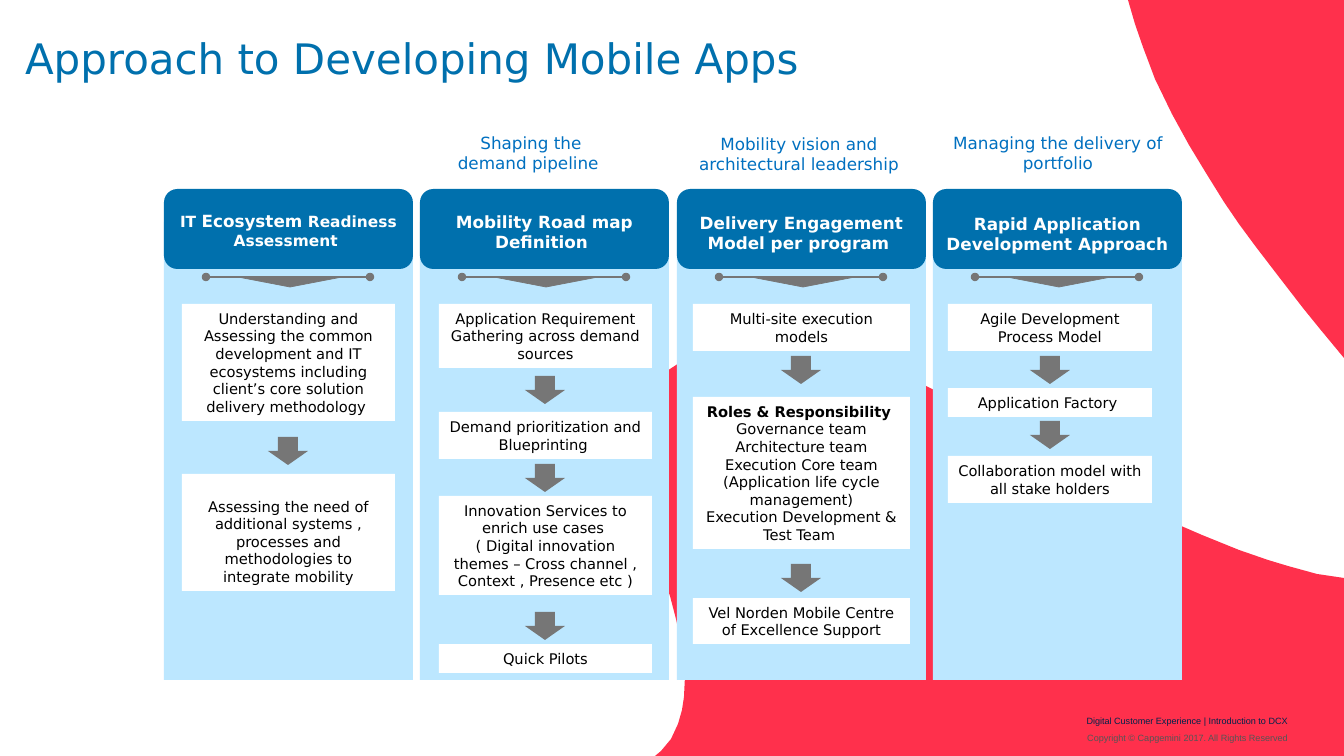
from lxml import etree
from pptx import Presentation
from pptx.dml.color import RGBColor
from pptx.enum.shapes import MSO_CONNECTOR as CONN, MSO_SHAPE as SHAPE
from pptx.enum.text import MSO_ANCHOR as ANCHOR, PP_ALIGN as ALIGN
from pptx.oxml.ns import qn
from pptx.util import Emu, Pt

PX = 12192000 / 1344  # EMU per px
RED = RGBColor(0xFF, 0x30, 0x4C)
BLUE = RGBColor(0x00, 0x70, 0xAD)
CAPTION_BLUE = RGBColor(0x00, 0x70, 0xC0)
PALE_BLUE = RGBColor(0xBC, 0xE7, 0xFF)
GRAY = RGBColor(0x76, 0x76, 0x76)
FOOTER_GRAY = RGBColor(0x55, 0x55, 0x55)
NAVY = RGBColor(0x00, 0x23, 0x4B)
WHITE = RGBColor(0xFF, 0xFF, 0xFF)
BLACK = RGBColor(0, 0, 0)
ROLES = "Roles & Responsibility "

SWOOSHES = [
    [(604, 445), (612, 431), (625, 413), (643, 392), (657, 378), (670, 369),
     (690, 356), (707, 349), (726, 344), (750, 340), (778, 340), (802, 342),
     (825, 347), (844, 352), (874, 363), (906, 376), (938, 392), (972, 410),
     (1002, 428), (1033, 448), (1069, 470), (1102, 488), (1132, 504),
     (1165, 519), (1202, 535), (1239, 550), (1268, 560), (1288, 566),
     (1317, 574), (1344, 578), (1344, 756), (655, 756), (661, 751),
     (671, 739), (678, 724), (682, 710), (684, 697), (685, 676), (683, 655),
     (680, 637), (676, 619), (670, 596), (660, 568), (654, 549), (644, 526),
     (631, 498), (619, 474)],
    [(1344, 358), (1320, 329), (1303, 308), (1279, 277), (1256, 247),
     (1239, 224), (1224, 202), (1206, 173), (1189, 145), (1172, 114),
     (1155, 79), (1143, 47), (1135, 24), (1128, 0), (1344, 0)],
]

# caption: text, x, y, width; header: runs of (text, size); header_drop: px below centre
# boxes: x and width, then (y, height, paragraphs) each; arrows: y
COLUMNS = [
    dict(caption=None, header_drop=1,
         header=[("IT ", 11), ("Ecosystem", 12), (" Readiness Assessment ", 11)],
         box_x=182, box_w=213, arrows=[437],
         boxes=[(304, 117, ["Understanding and Assessing the common development and IT "
                            "ecosystems including client’s core solution delivery methodology "]),
                (474, 117, ["Assessing the need of additional systems , processes and "
                            "methodologies to integrate mobility"])]),
    dict(caption=("Shaping the demand pipeline ", 442, 128, 178), header_drop=3,
         header=[("Mobility Road map Definition ", 12)],
         box_x=439, box_w=213, arrows=[376, 464, 612],
         boxes=[(304, 64, ["Application Requirement Gathering across demand sources"]),
                (412, 47, ["Demand prioritization and Blueprinting "]),
                (496, 99, ["Innovation Services to enrich use cases ",
                           "( Digital innovation themes – Cross channel , Context , Presence etc )"]),
                (644, 29, ["Quick Pilots"])]),
    dict(caption=("Mobility vision and architectural leadership", 685, 129, 228), header_drop=4,
         header=[("Delivery Engagement Model per program ", 12)],
         box_x=693, box_w=217, arrows=[356, 564],
         boxes=[(304, 47, ["Multi-site execution models"]),
                (397, 152, [ROLES, "Governance team", "Architecture team",
                            "Execution Core team (Application life cycle management)",
                            "Execution Development & Test Team "]),
                (598, 46, ["Vel Norden Mobile Centre of Excellence Support"])]),
    dict(caption=("Managing the delivery of portfolio", 934, 128, 248), header_drop=5,
         header=[("Rapid Application Development Approach", 12)],
         box_x=948, box_w=204, arrows=[356, 421],
         boxes=[(304, 47, ["Agile Development Process Model"]),
                (388, 29, ["Application Factory "]),
                (456, 47, ["Collaboration model with all stake holders"])]),
]

prs = Presentation()
prs.slide_width, prs.slide_height = Emu(12192000), Emu(6858000)
s = prs.slides.add_slide(prs.slide_layouts[5])


def add_block(kind, x, y, w, h, fill):
    sp = s.shapes.add_shape(kind, *(Emu(round(v * PX)) for v in (x, y, w, h)))
    sp.shadow.inherit = False
    sp.fill.solid()
    sp.fill.fore_color.rgb = fill
    sp.line.fill.background()
    return sp


def write(sp, paragraphs, color, align=ALIGN.CENTER, font="DejaVu Sans"):
    """Fill a shape with paragraphs, each a list of (text, size, bold) runs."""
    tf = sp.text_frame
    tf.word_wrap = True
    tf.vertical_anchor = ANCHOR.MIDDLE
    for i, runs in enumerate(paragraphs):
        p = tf.paragraphs[0] if i == 0 else tf.add_paragraph()
        p.alignment = align
        for text, size, bold in runs:
            r = p.add_run()
            r.text = text
            r.font.name, r.font.size, r.font.bold = font, Pt(size), bold
            r.font.color.rgb = color
    return tf


for (start, *rest) in SWOOSHES:
    builder = s.shapes.build_freeform(*start, scale=PX)
    builder.add_line_segments(rest, close=True)
    swoosh = builder.convert_to_shape()
    swoosh.shadow.inherit = False
    swoosh.fill.solid()
    swoosh.fill.fore_color.rgb = RED
    swoosh.line.fill.background()

title = s.shapes.title
title.left, title.top, title.width, title.height = (
    Emu(round(v * PX)) for v in (25, 0, 1102, 122))
tf = write(title, [[("Approach to Developing Mobile Apps", 30, False)]], BLUE, ALIGN.LEFT)
tf.margin_left = tf.margin_right = tf.margin_top = tf.margin_bottom = 0
tf.paragraphs[0].line_spacing = 0.9

for text, y, color in [("Digital Customer Experience | Introduction to DCX", 715, NAVY),
                       ("Copyright © Capgemini 2017. All Rights Reserved", 732, FOOTER_GRAY)]:
    footer = s.shapes.add_textbox(*(Emu(round(v * PX)) for v in (835, y, 453, 11)))
    tf = write(footer, [[(text, 6.5, False)]], color, ALIGN.RIGHT, "Arial")
    tf.margin_left = tf.margin_right = tf.margin_top = tf.margin_bottom = 0

for i, col in enumerate(COLUMNS):
    x = 164 + 513 * i // 2
    add_block(SHAPE.RECTANGLE, x, 222, 249, 458, PALE_BLUE)

    header = add_block(SHAPE.ROUNDED_RECTANGLE, x, 189, 249, 80, BLUE)
    tf = write(header, [[(text, size, True) for text, size in col["header"]]], WHITE)
    tf.margin_left = tf.margin_right = Emu(round(4 * PX))
    tf.margin_top, tf.margin_bottom = Emu(round(2 * col["header_drop"] * PX)), 0

    if col["caption"]:
        text, cap_x, cap_y, cap_w = col["caption"]
        caption = s.shapes.add_textbox(*(Emu(round(v * PX)) for v in (cap_x, cap_y, cap_w, 50)))
        write(caption, [[(text, 12, False)]], CAPTION_BLUE)

    rule = s.shapes.add_connector(
        CONN.STRAIGHT, *(Emu(round(v * PX)) for v in (x + 206, 277, x + 42, 277)))
    rule.line.color.rgb = GRAY
    rule.line.width = Pt(2)
    ln = rule.line._get_or_add_ln()
    for end in ("a:headEnd", "a:tailEnd"):
        etree.SubElement(ln, qn(end), type="oval")
    etree.SubElement(rule._element.spPr, qn("a:effectLst"))
    pointer = add_block(SHAPE.ISOSCELES_TRIANGLE, x + 74, 277, 104, 10, GRAY)
    pointer.rotation = 180
    pointer.line.color.rgb = GRAY
    pointer.line.width = Pt(0.5)

    for y, h, paragraphs in col["boxes"]:
        box = add_block(SHAPE.RECTANGLE, col["box_x"], y, col["box_w"], h, WHITE)
        tf = write(box, [[(t, 10.5, t == ROLES)] for t in paragraphs], BLACK)
        if y == 474:  # this text sits one line lower
            tf.margin_top = Emu(round(23 * PX))
    for y in col["arrows"]:
        add_block(SHAPE.DOWN_ARROW, col["box_x"] + col["box_w"] // 2 - 20, y, 40, 28, GRAY)

prs.save("out.pptx")
